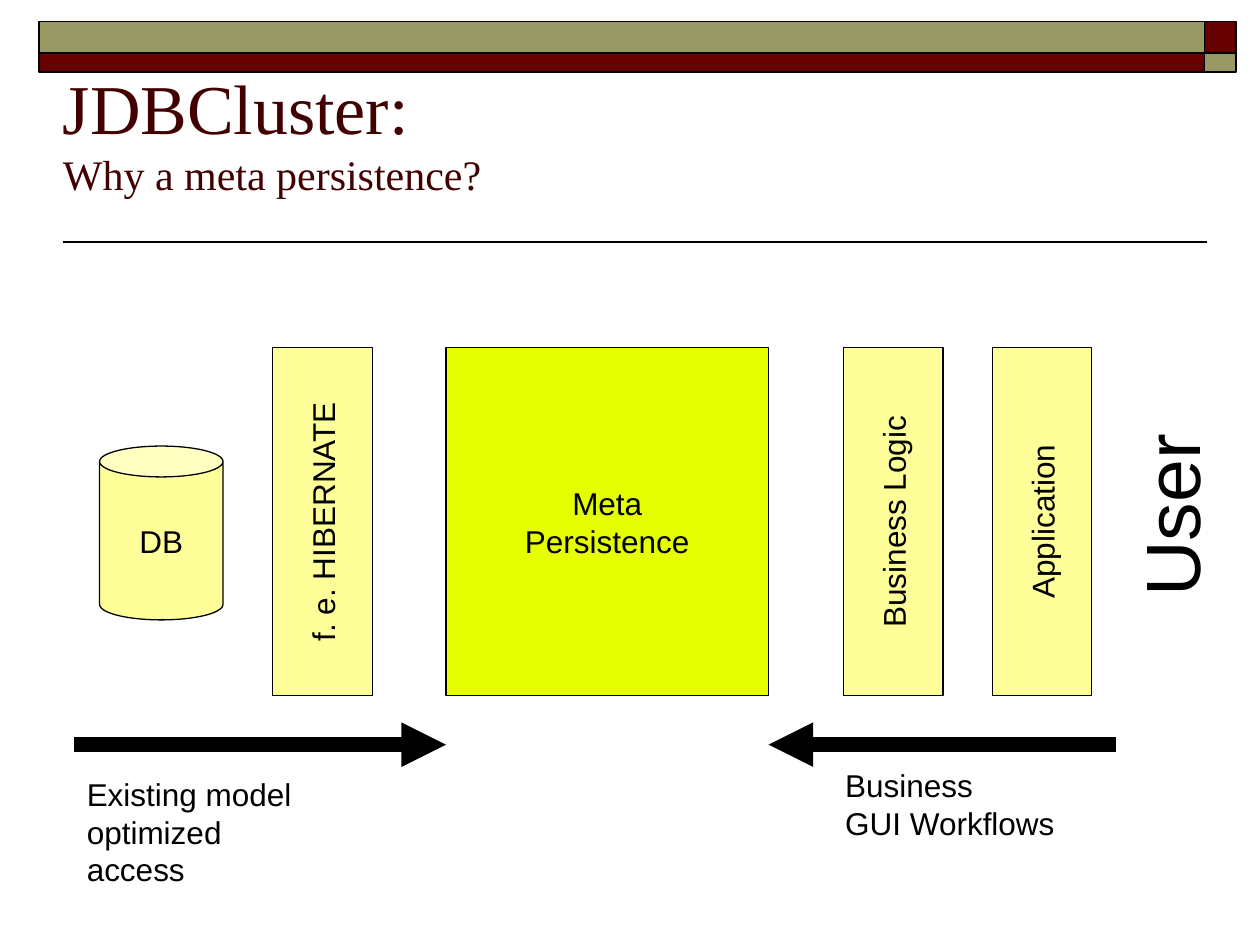
"""Build the JDBCluster slide on meta persistence."""
from dataclasses import dataclass, field
from typing import Any

from lxml.etree import SubElement
from pptx import Presentation
from pptx.dml.color import RGBColor
from pptx.enum.shapes import MSO_CONNECTOR as Connector, MSO_SHAPE as Shape
from pptx.enum.text import MSO_ANCHOR as Anchor, PP_ALIGN as Align
from pptx.oxml.ns import qn
from pptx.util import Inches, Pt

BLACK, OLIVE, MAROON, TITLE = "000000", "999966", "660000", "420000"
CREAM, LIME = "FFFF99", "E6FF00"
TOP, SIDE, BAR = 2.76, 2.76, 0.79
ARROW_Y = 5.91
META_LEFT, META_WIDTH = 3.54, 2.56


@dataclass
class Text:
    lines: list[tuple[str, float]]
    format: dict[str, Any] = field(default_factory=dict)
    font: str = "Arial"
    color: str = BLACK
    align: Any = Align.LEFT
    one_paragraph: bool = False


@dataclass
class Block:
    kind: Any
    left: float
    top: float
    width: float
    height: float
    fill: str
    label: tuple[str, ...] = ()
    rotation: float = 0
    border: float = 0


@dataclass
class Label:
    left: float
    top: float
    width: float
    height: float
    text: Text
    rotation: float = 0


@dataclass
class Line:
    start: float
    end: float
    y: float
    weight: float
    arrow: bool = False


def paint(value: str) -> RGBColor:
    return RGBColor.from_string(value)


def write(frame: Any, text: Text) -> None:
    for name, value in text.format.items():
        setattr(frame, name, value)
    para = frame.paragraphs[0]
    for index, (words, size) in enumerate(text.lines):
        if index and text.one_paragraph:
            para.add_line_break()
        elif index:
            para = frame.add_paragraph()
        para.alignment = text.align
        span = para.add_run()
        span.text = words
        for name, value in {"name": text.font, "size": Pt(size)}.items():
            setattr(span.font, name, value)
        span.font.color.rgb = paint(text.color)


def draw_block(page: Any, block: Block) -> None:
    bounds = map(Inches, (block.left, block.top, block.width, block.height))
    shape = page.shapes.add_shape(block.kind, *bounds)
    shape.shadow.inherit = False
    shape.rotation = block.rotation
    shape.fill.solid()
    shape.fill.fore_color.rgb = paint(block.fill)
    shape.line.color.rgb = paint(BLACK)
    shape.line.width = Pt(block.border)
    if block.label:
        lines = [(words, 18) for words in block.label]
        style = {"vertical_anchor": Anchor.MIDDLE, "word_wrap": True}
        write(shape.text_frame, Text(lines, style, align=Align.CENTER))


def draw_label(page: Any, label: Label) -> None:
    bounds = map(Inches, (label.left, label.top, label.width, label.height))
    box = page.shapes.add_textbox(*bounds)
    box.rotation = label.rotation
    write(box.text_frame, label.text)


def draw_line(page: Any, line: Line) -> None:
    ends = map(Inches, (line.start, line.y, line.end, line.y))
    connector = page.shapes.add_connector(Connector.STRAIGHT, *ends)
    connector.line.color.rgb = paint(BLACK)
    connector.line.width = Pt(line.weight)
    properties = connector.element.spPr
    if line.arrow:
        SubElement(properties.find(qn("a:ln")), qn("a:tailEnd"), type="triangle")
    SubElement(properties, qn("a:effectLst"))


def upright_bar(center: float, label: str) -> Block:
    left, top = center - SIDE / 2, TOP + (SIDE - BAR) / 2
    return Block(Shape.RECTANGLE, left, top, SIDE, BAR, CREAM, (label,), 270)


def caption(*lines: str) -> Text:
    return Text([(words, 18) for words in lines], {"word_wrap": False})


def main() -> None:
    deck = Presentation()
    deck.slide_width, deck.slide_height = Inches(10), Inches(7.5)
    page = deck.slides.add_slide(deck.slide_layouts[6])

    columns = ((0.31, 9.25, (OLIVE, MAROON)), (9.56, 0.25, (MAROON, OLIVE)))
    rows = ((0.17, 0.25), (0.42, 0.15))
    banner = [
        Block(Shape.RECTANGLE, left, top, width, height, fill, border=1)
        for left, width, fills in columns
        for (top, height), fill in zip(rows, fills)
    ]
    layers = [
        Block(Shape.CAN, 0.79, 3.54, 0.98, 1.38, CREAM, ("DB",)),
        upright_bar(2.56, "f. e. HIBERNATE"),
        Block(Shape.RECTANGLE, META_LEFT, TOP, META_WIDTH, SIDE, LIME, ("Meta", "Persistence")),
        upright_bar(7.09, "Business Logic"),
        upright_bar(8.27, "Application"),
    ]
    for block in banner + layers:
        draw_block(page, block)

    lines = [
        Line(9.58, 0.5, 1.92, 1),
        Line(0.59, META_LEFT, ARROW_Y, 8.5, True),
        Line(8.86, META_LEFT + META_WIDTH, ARROW_Y, 8.5, True),
    ]
    for line in lines:
        draw_line(page, line)

    margins = dict.fromkeys(("margin_left", "margin_top", "margin_right", "margin_bottom"), 0)
    heading = Text(
        [("JDBCluster:", 40), ("Why a meta persistence?", 24)],
        {"word_wrap": True, "vertical_anchor": Anchor.MIDDLE, **margins},
        "Times New Roman", TITLE, one_paragraph=True,
    )
    labels = [
        Label(0.5, 0.26, 9, 1.57, heading),
        Label(0.59, 6.1, 2.11, 0.66, caption("Existing model", "optimized access")),
        Label(6.61, 6.03, 1.86, 0.66, caption("Business", "GUI Workflows")),
        Label(8.51, 3.7, 1.49, 0.78, Text([("User", 44)], {"word_wrap": False}), 270),
    ]
    for label in labels:
        draw_label(page, label)
    deck.save("out.pptx")


if __name__ == "__main__":
    main()
